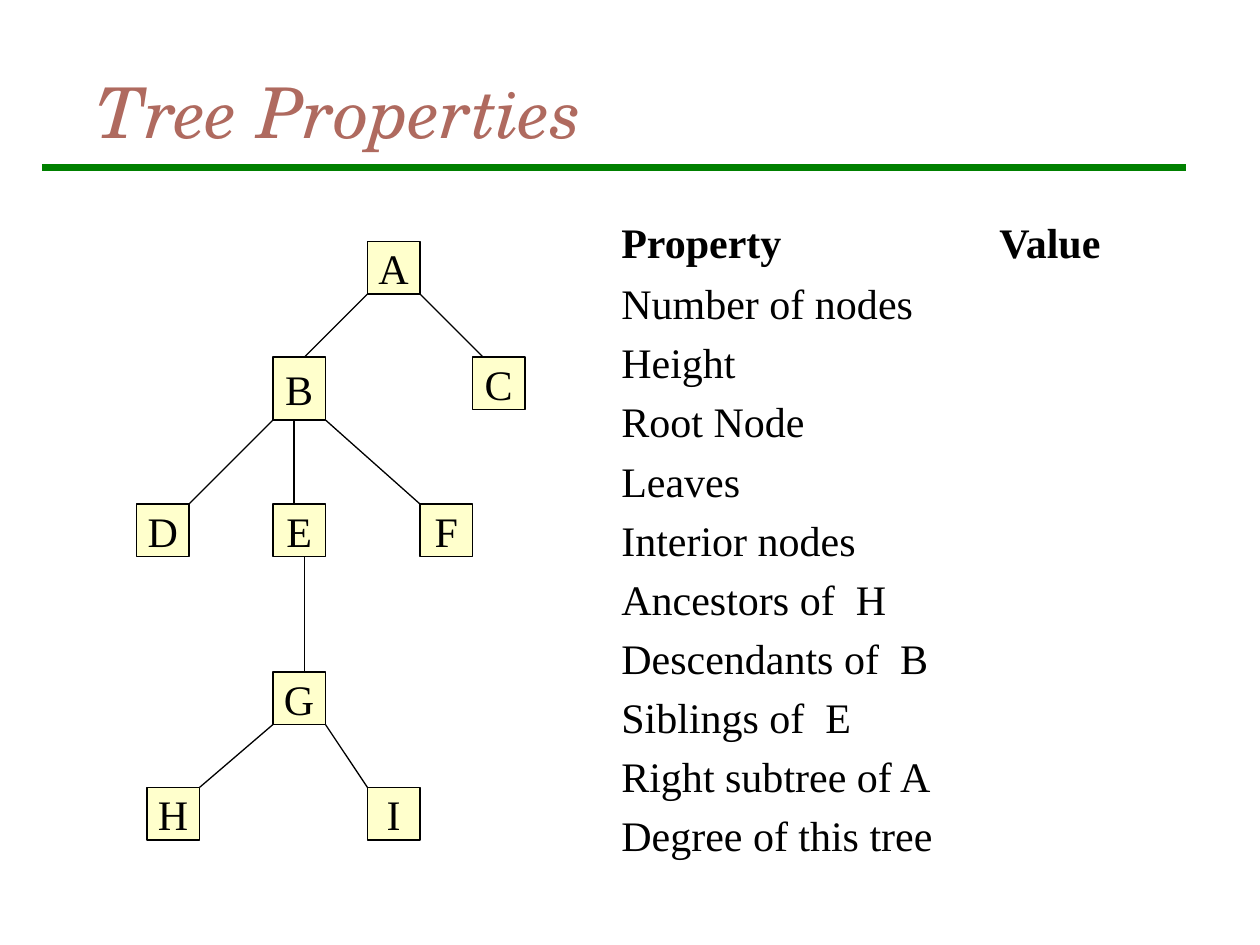
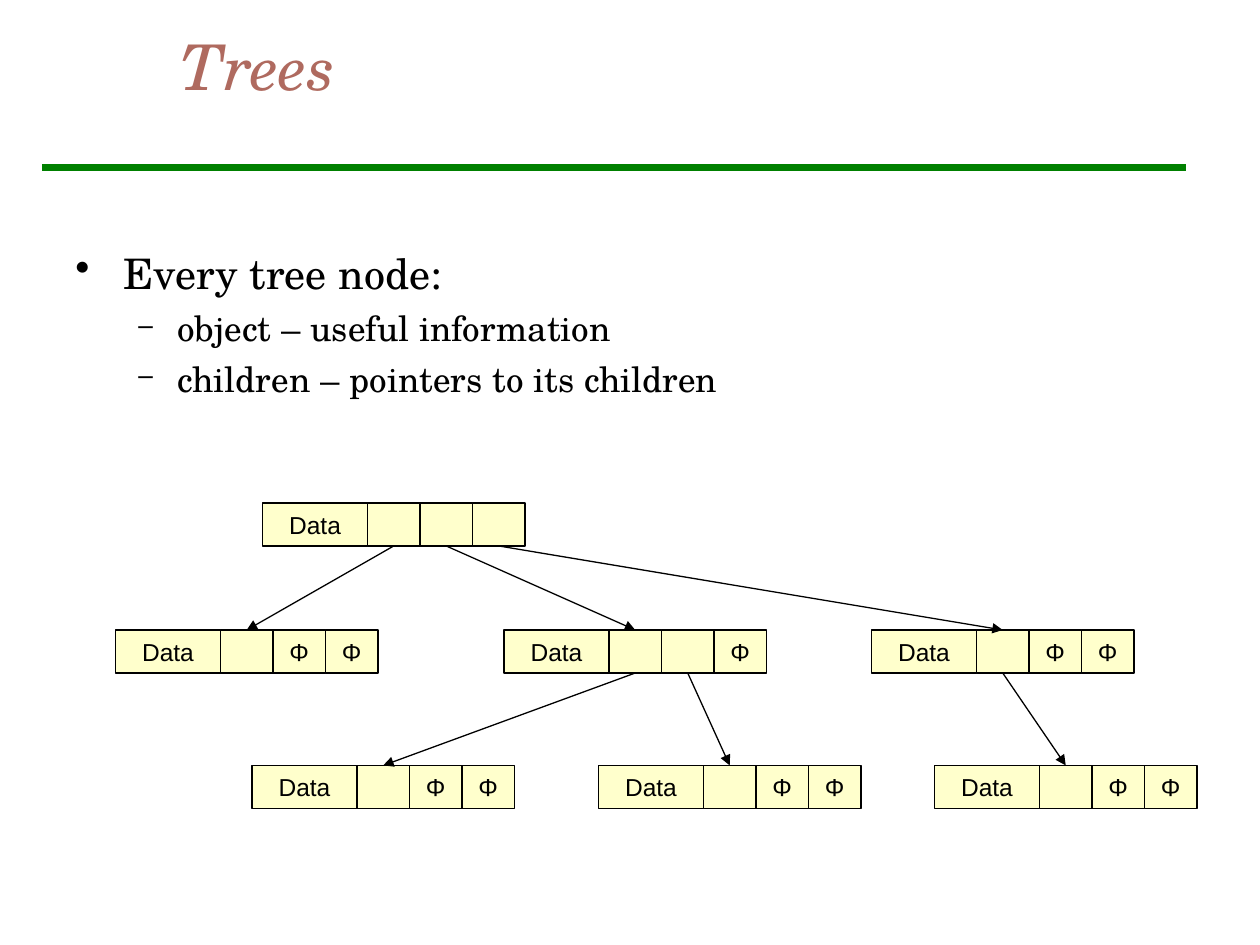
from lxml.etree import SubElement
from pptx import Presentation
from pptx.dml.color import RGBColor
from pptx.enum.shapes import MSO_CONNECTOR, MSO_SHAPE
from pptx.enum.text import MSO_ANCHOR, PP_ALIGN
from pptx.oxml.ns import qn
from pptx.util import Inches, Pt

HUES = {"ink": "000000", "title": "AF6A5F", "rule": "008000", "node": "FFFFCC"}
SERIF, ROMAN, SANS = "TeX Gyre Schola", "Times New Roman", "Arial"
COLS, ROWS = 120, 90
UNIT = Inches(10) // COLS
BOX = 5
WIDE, TALL = 2 * BOX, 4.1
NIL = "Φ"

NODES = {
    "A": (35, 23), "B": (26, 34), "C": (45, 34),
    "D": (13, 48), "E": (26, 48), "F": (40, 48),
    "G": (26, 64), "H": (14, 75), "I": (35, 75),
}
HIGH = {"B": 6}
EDGES = [
    (40, 28, 46, 34), (35, 28, 29, 34), (28, 40, 28, 48), (26, 40, 18, 48),
    (31, 40, 40, 48), (29, 53, 29, 64), (31, 69, 35, 75), (26, 69, 19, 75),
]
TRAITS = [
    "Number of nodes", "Height", "Root Node", "Leaves", "Interior nodes",
    "Ancestors of  H", "Descendants of  B", "Siblings of  E",
    "Right subtree of A", "Degree of this tree",
]
CELLS = {
    "root": (25, 47.9, ["", "", ""]),
    "left": (11, 60, ["", NIL, NIL]),
    "mid": (48, 60, ["", "", NIL]),
    "right": (83, 60, ["", NIL, NIL]),
    "low left": (24, 72.9, ["", NIL, NIL]),
    "low mid": (57, 72.9, ["", NIL, NIL]),
    "low right": (89, 72.9, ["", NIL, NIL]),
}
LINKS = [
    ("root", 0, "left"), ("root", 1, "mid"), ("root", 2, "right"),
    ("mid", 0, "low left"), ("mid", 1, "low mid"), ("right", 0, "low right"),
]


def hue(name):
    return RGBColor.from_string(HUES[name])


def span(*sizes):
    return [round(size * UNIT) for size in sizes]


def write(para, text, size, face, tint="ink", bold=False, slant=False):
    run = para.add_run()
    run.text = text
    font = run.font
    font.size, font.name = Pt(size), face
    font.bold, font.italic = bold, slant
    font.color.rgb = hue(tint)


def add_text(slide, col, row, wide, high, anchor=MSO_ANCHOR.TOP):
    frame = slide.shapes.add_textbox(*span(col, row, wide, high)).text_frame
    frame.word_wrap = True
    frame.vertical_anchor = anchor
    return frame


def add_line(slide, ends, tint="ink", width=0.75):
    line = slide.shapes.add_connector(MSO_CONNECTOR.STRAIGHT, *span(*ends))
    line.line.color.rgb = hue(tint)
    line.line.width = Pt(width)
    SubElement(line._element.spPr, qn("a:effectLst"))
    return line


def add_arrow(slide, start, end):
    line = add_line(slide, (0, 0, 0, 0))
    line.begin_connect(start, 2)
    line.end_connect(end, 0)
    SubElement(line.line._get_or_add_ln(), qn("a:tailEnd"), type="triangle")


def add_box(slide, place, text, size, face):
    box = slide.shapes.add_shape(MSO_SHAPE.RECTANGLE, *span(*place))
    box.shadow.inherit = False
    box.fill.solid()
    box.fill.fore_color.rgb = hue("node")
    box.line.color.rgb = hue("ink")
    box.line.width = Pt(0.75)
    if text:
        frame = box.text_frame
        frame.word_wrap = False
        frame.vertical_anchor = MSO_ANCHOR.MIDDLE
        para = frame.paragraphs[0]
        para.alignment = PP_ALIGN.CENTER
        write(para, text, size, face)
    return box


def add_page(deck, title, place, size):
    slide = deck.slides.add_slide(deck.slide_layouts[6])
    add_line(slide, (4, 16, 113, 16), "rule", 4)
    frame = add_text(slide, *place, MSO_ANCHOR.MIDDLE)
    write(frame.paragraphs[0], title, size, SERIF, "title", slant=True)
    return slide


def set_tabs(para, stops):
    tabs = SubElement(para._p.get_or_add_pPr(), qn("a:tabLst"))
    for stop in stops:
        SubElement(tabs, qn("a:tab"), pos=str(Inches(stop)), algn="l")


def set_mark(para, mark, left, hang, share=100):
    props = para._p.get_or_add_pPr()
    props.set("marL", str(Inches(left)))
    props.set("indent", str(-Inches(hang)))
    tint = SubElement(props, qn("a:buClr"))
    SubElement(tint, qn("a:srgbClr"), val=HUES["ink"])
    SubElement(props, qn("a:buSzPct"), val=str(share * 1000))
    SubElement(props, qn("a:buChar"), char=mark)


def add_traits(slide):
    frame = add_text(slide, 58, 20, 54, 62.4)
    head = frame.paragraphs[0]
    set_tabs(head, range(1, 4))
    write(head, "Property\t\tValue", 24, ROMAN, bold=True)
    for trait in TRAITS:
        para = frame.add_paragraph()
        para.line_spacing = 0.6
        para.space_before = Pt(16.5)
        write(para, trait, 24, ROMAN)


def add_points(slide):
    frame = add_text(slide, 6, 23, 108, 24)
    head = frame.paragraphs[0]
    set_mark(head, "•", 0.38, 0.38)
    write(head, "Every tree node:", 24, SERIF)
    for point in ("object – useful information",
                  "children – pointers to its children"):
        para = frame.add_paragraph()
        para.level = 1
        set_mark(para, "–", 0.81, 0.31, 75)
        para.space_before = Pt(5)
        write(para, point, 20, SERIF)


def add_cell(slide, col, row, slots):
    add_box(slide, (col, row, WIDE, TALL), "Data", 14, SANS)
    return [
        add_box(slide, (col + WIDE + i * BOX, row, BOX, TALL), text, 14, SANS)
        for i, text in enumerate(slots)
    ]


def draw_traits(deck):
    slide = add_page(deck, "Tree Properties", (8, 5, 102, 11), 40)
    for edge in EDGES:
        add_line(slide, edge)
    for name, (col, row) in NODES.items():
        add_box(slide, (col, row, BOX, HIGH.get(name, BOX)), name, 24, ROMAN)
    add_traits(slide)


def draw_cells(deck):
    slide = add_page(deck, "Trees", (16, 0, 102, 12.5), 36)
    add_points(slide)
    slots = {name: add_cell(slide, *cell) for name, cell in CELLS.items()}
    for start, slot, end in LINKS:
        add_arrow(slide, slots[start][slot], slots[end][0])


def main():
    deck = Presentation()
    deck.slide_width, deck.slide_height = span(COLS, ROWS)
    draw_traits(deck)
    draw_cells(deck)
    deck.save("out.pptx")


if __name__ == "__main__":
    main()
